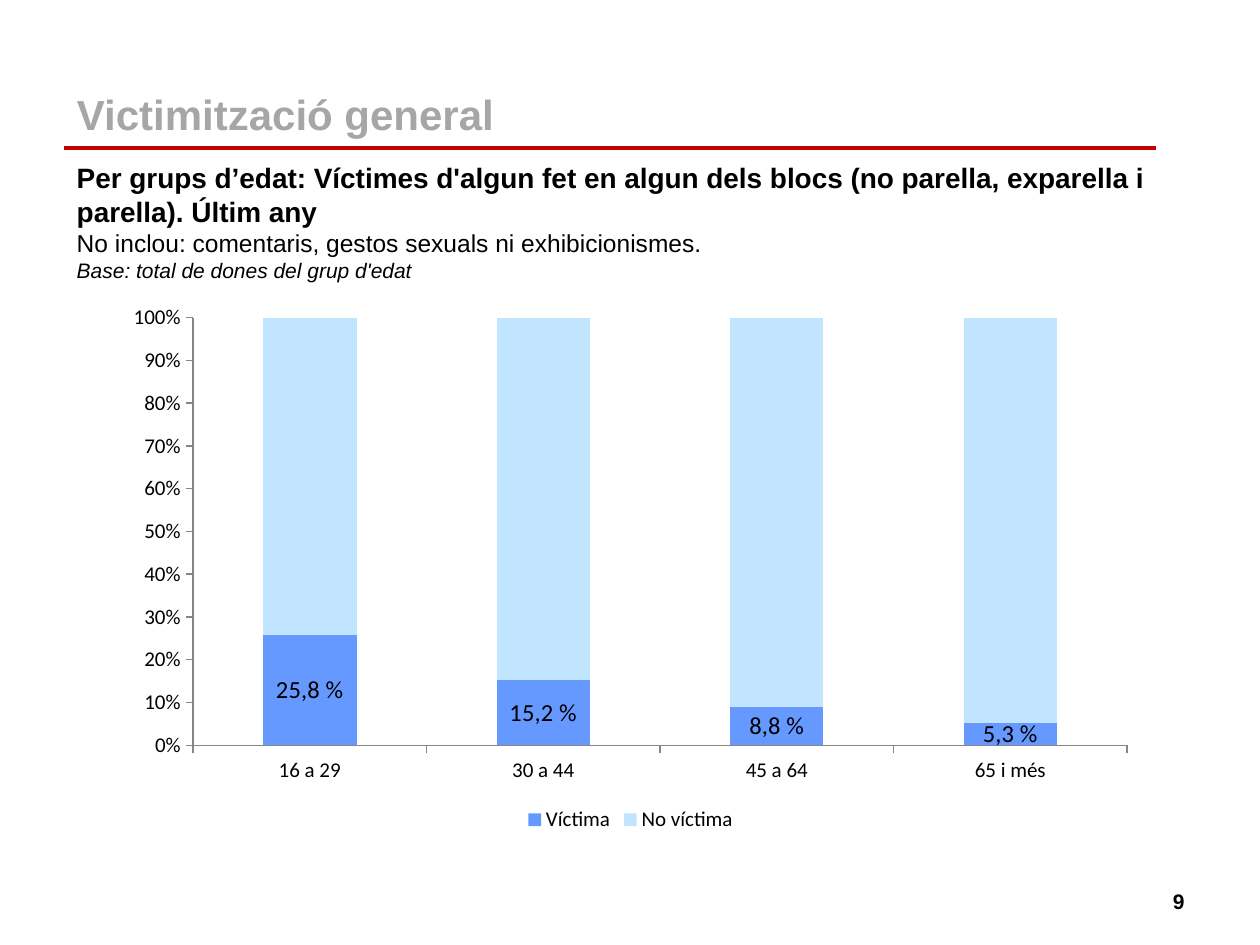
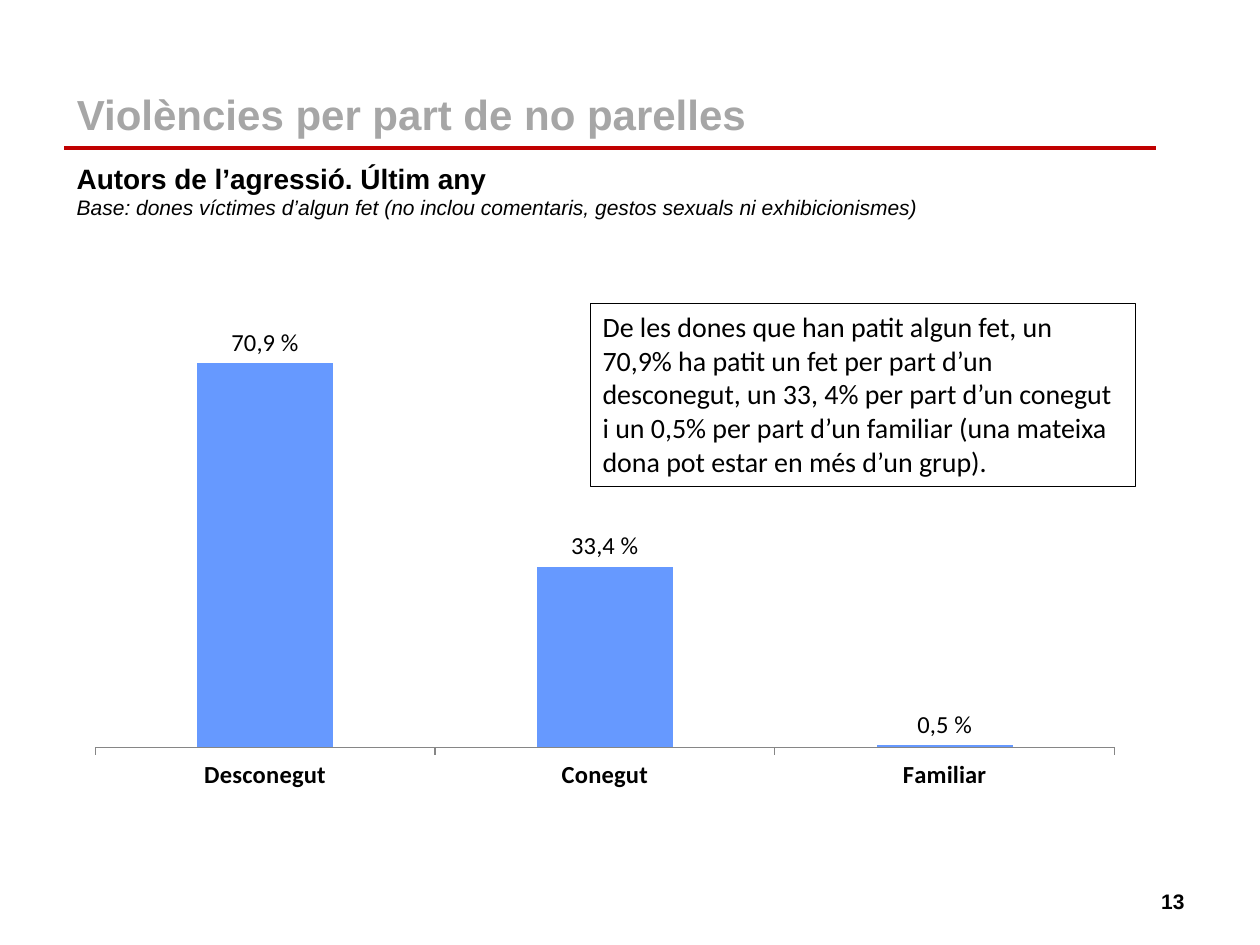
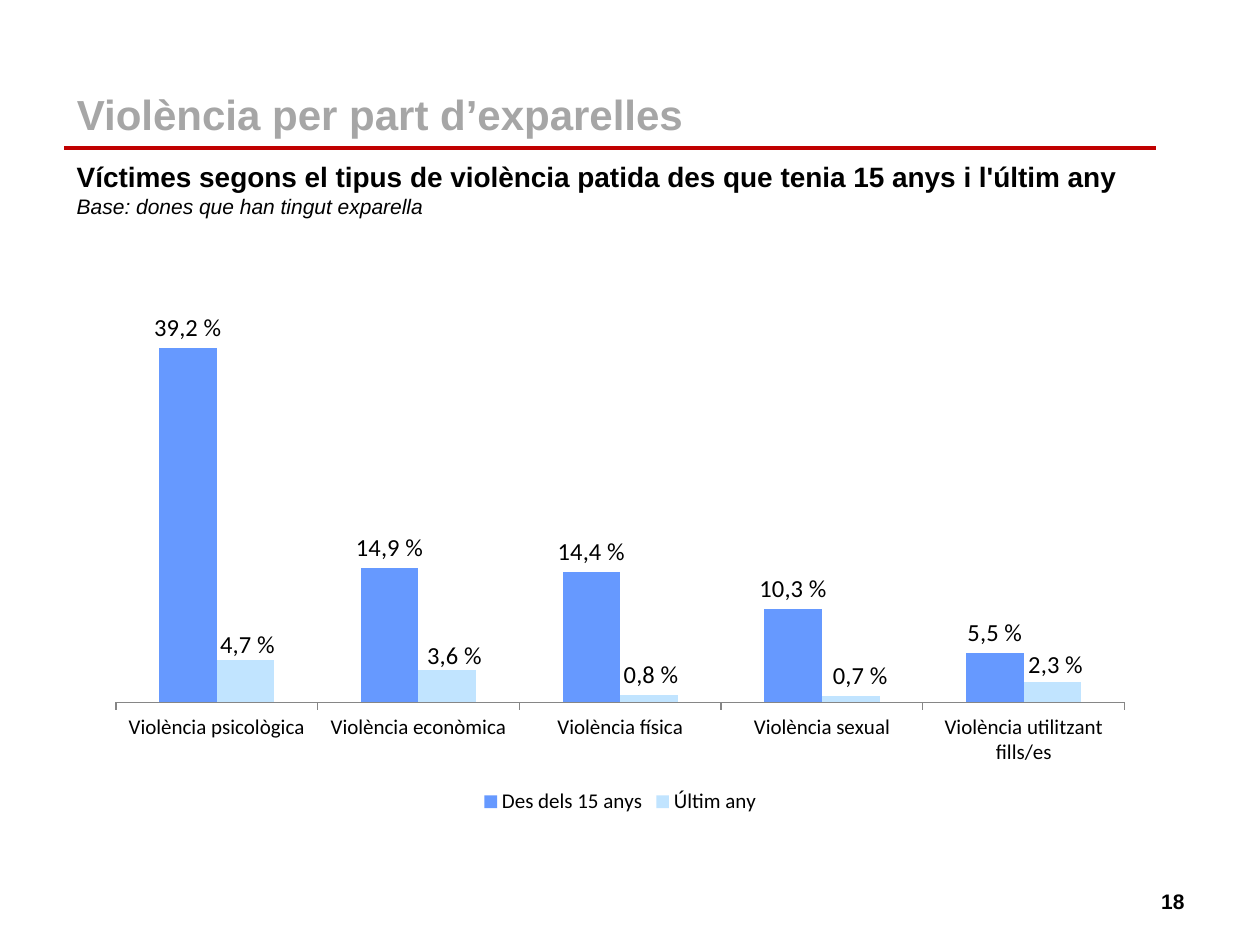
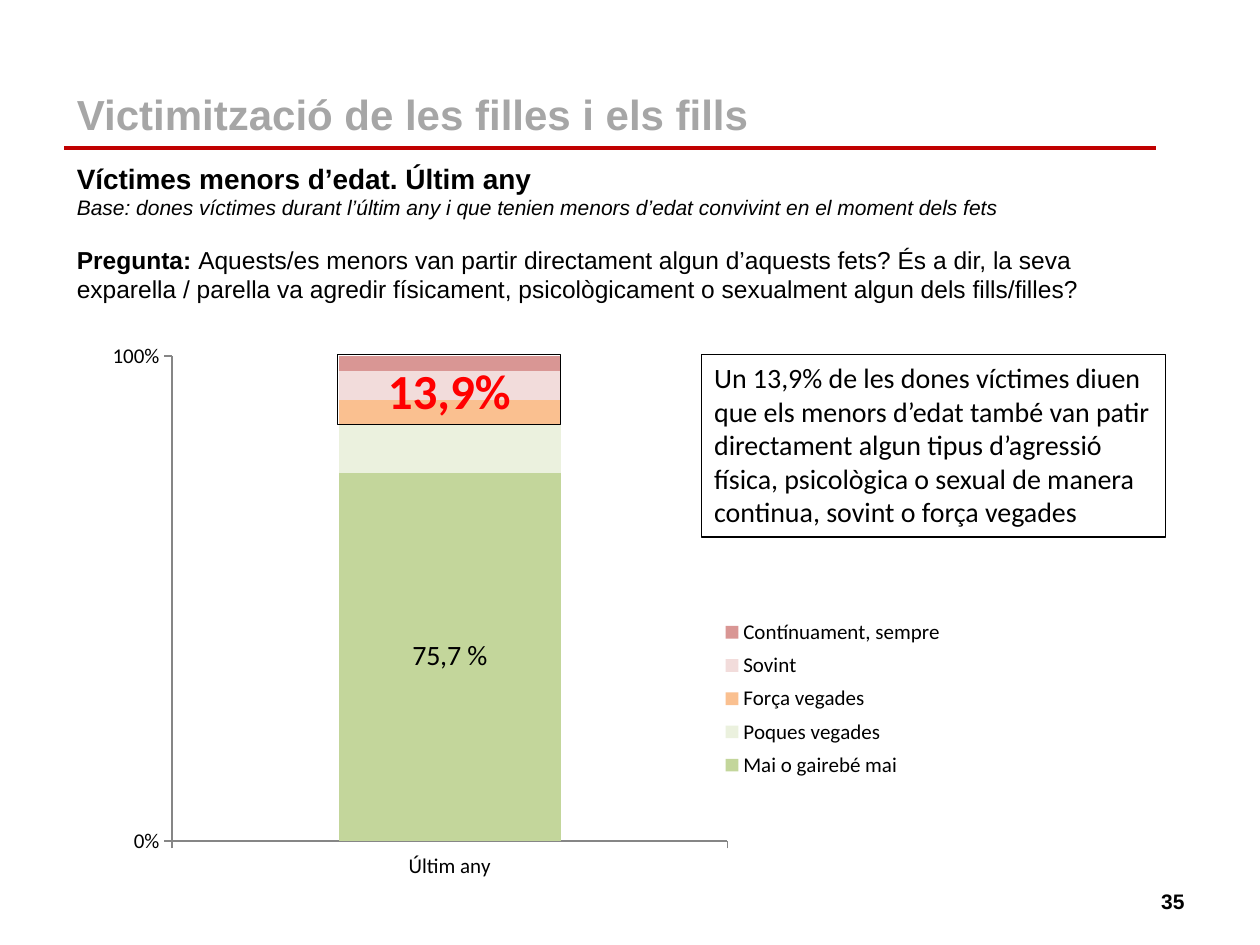
from lxml.etree import SubElement
from pptx import Presentation
from pptx.chart.data import CategoryChartData
from pptx.dml.color import RGBColor
from pptx.enum.chart import XL_CHART_TYPE, XL_LABEL_POSITION, XL_LEGEND_POSITION, XL_TICK_MARK
from pptx.enum.shapes import MSO_CONNECTOR, MSO_SHAPE
from pptx.enum.text import MSO_ANCHOR, MSO_AUTO_SIZE, PP_ALIGN
from pptx.oxml import parse_xml
from pptx.oxml.ns import nsdecls, qn
from pptx.util import Pt

BLACK, GREY, RED, AXIS = "000000", "A6A6A6", "C00000", "868686"
BLUE, PALE_BLUE, ALERT = "6699FF", "C1E4FF", "FF0000"
HEAD, BODY = "Arial", "Calibri"
LEFT = 36.8


def rgb(hex_color):
    return RGBColor.from_string(hex_color)


def points(box):
    return [Pt(v) for v in box]


def style(font, size, name=HEAD, color=BLACK, bold=False, italic=False):
    font.size, font.name = Pt(size), name
    font.bold, font.italic = bold, italic
    font.color.rgb = rgb(color)


def add_text(s, box):
    tf = s.shapes.add_textbox(*points(box)).text_frame
    tf.word_wrap = True
    return tf


def add_base(prs, title, number):
    s = prs.slides.add_slide(prs.slide_layouts[5])
    sp = s.shapes.title
    sp.left, sp.top, sp.width, sp.height = points((LEFT, 45.4, 657.4, 39.6))
    tf = sp.text_frame
    tf.text = title
    tf.auto_size = MSO_AUTO_SIZE.NONE
    tf.vertical_anchor = MSO_ANCHOR.MIDDLE
    tf.paragraphs[0].alignment = PP_ALIGN.LEFT
    style(tf.paragraphs[0].runs[0].font, 24, color=GREY, bold=True)

    rule = s.shapes.add_connector(MSO_CONNECTOR.STRAIGHT, *points((LEFT, 84.6, 660.5, 84.6)))
    rule.line.color.rgb = rgb(RED)
    rule.line.width = Pt(2.25)
    SubElement(rule._element.spPr, qn("a:effectLst"))

    tf = add_text(s, (516.2, 500.4, 167.8, 28.8))
    tf.text = number
    tf.vertical_anchor = MSO_ANCHOR.MIDDLE
    tf.paragraphs[0].alignment = PP_ALIGN.RIGHT
    style(tf.paragraphs[0].runs[0].font, 12, bold=True)
    return s


def add_intro(s, box, heading, base, note=None):
    tf = add_text(s, box)
    rows = [(heading, 16, True, False), (note, 14, False, False), (base, 12, False, True)]
    rows = [row for row in rows if row[0]]
    tf.text = "\n".join(row[0] for row in rows)
    for p, (_, size, bold, italic) in zip(tf.paragraphs, rows):
        style(p.runs[0].font, size, bold=bold, italic=italic)
    return tf


def add_question(tf, label, question):
    p = tf.add_paragraph()
    p.space_before = Pt(14)
    for text, bold in ((label, True), (question, False)):
        r = p.add_run()
        r.text = text
        style(r.font, 14, bold=bold)


def add_frame(s, box, text, size, color=BLACK, bold=False, align=PP_ALIGN.LEFT,
              anchor=MSO_ANCHOR.TOP):
    sp = s.shapes.add_shape(MSO_SHAPE.RECTANGLE, *points(box))
    sp.shadow.inherit = False
    sp.fill.background()
    sp.line.color.rgb = rgb(BLACK)
    sp.line.width = Pt(0.75)
    tf = sp.text_frame
    tf.text = text
    tf.word_wrap = True
    tf.vertical_anchor = anchor
    tf.paragraphs[0].alignment = align
    style(tf.paragraphs[0].runs[0].font, size, BODY, color, bold)


def set_layout(parent, index, percents, inner=False, edge=True):
    for old in parent.findall(qn("c:layout")):
        parent.remove(old)
    target = '<c:layoutTarget val="inner"/>' if inner else ""
    modes = "".join(f'<c:{k}Mode val="edge"/>' for k in "xy") if edge else ""
    sizes = "".join(f'<c:{k} val="{v / 100:.3f}"/>' for k, v in zip("xywh", percents))
    parent.insert(index, parse_xml(
        f"<c:layout {nsdecls('c')}><c:manualLayout>{target}{modes}{sizes}"
        "</c:manualLayout></c:layout>"))


def label_series(ser, values, size, bold, position):
    labels = ser.data_labels
    labels.show_value = True
    labels.number_format = "0.0"
    labels.number_format_is_linked = False
    labels.position = position
    style(labels.font, size, BODY, bold=bold)
    for i, value in enumerate(values):
        label = ser.points[i].data_label
        label.text_frame.text = f"{value:.1f} %".replace(".", ",")
        style(label.text_frame.paragraphs[0].runs[0].font, size, BODY)
        label.position = position


def shift_labels(ser, shifts):
    for dlbl, shift in zip(ser._element.findall(".//" + qn("c:dLbl")), shifts):
        set_layout(dlbl, 1, shift, edge=False)


def add_columns(s, box, cats, series, plot_box, stacked=False, labelled=1, label_size=14,
                cat_size=12, cat_bold=False, top=None, step=None):
    data = CategoryChartData(number_format="0.0")
    data.categories = cats
    for name, values, _ in series:
        data.add_series(name, values)
    kind = XL_CHART_TYPE.COLUMN_STACKED_100 if stacked else XL_CHART_TYPE.COLUMN_CLUSTERED
    chart = s.shapes.add_chart(kind, *points(box), data).chart
    chart.has_title = chart.has_legend = False
    style(chart.font, 12, BODY)

    plot = chart.plots[0]
    plot.gap_width = 150
    plot.overlap = 100 if stacked else 0
    plot.vary_by_categories = False
    place = XL_LABEL_POSITION.CENTER if stacked else XL_LABEL_POSITION.OUTSIDE_END
    for i, (ser, (_, values, color)) in enumerate(zip(plot.series, series)):
        ser.format.fill.solid()
        ser.format.fill.fore_color.rgb = rgb(color)
        if i < labelled:
            label_series(ser, values, label_size, not stacked, place)

    for axis in (chart.category_axis, chart.value_axis):
        axis.has_major_gridlines = False
        axis.major_tick_mark = XL_TICK_MARK.OUTSIDE
        axis.minor_tick_mark = XL_TICK_MARK.NONE
        axis.format.line.color.rgb = rgb(AXIS)
        axis.format.line.width = Pt(0.75)
    style(chart.category_axis.tick_labels.font, cat_size, BODY, bold=cat_bold)
    axis = chart.value_axis
    axis.visible = stacked
    axis.minimum_scale = 0
    axis.tick_labels.number_format = "0%" if stacked else "0.0"
    axis.tick_labels.number_format_is_linked = False
    style(axis.tick_labels.font, 12, BODY)
    if top:
        axis.maximum_scale = top
    if step:
        axis.major_unit = step
    set_layout(plot._element.getparent(), 0, plot_box, inner=True)
    return chart


def add_legend(chart, position, box=None):
    chart.has_legend = True
    chart.legend.position = position
    chart.legend.include_in_layout = False
    style(chart.legend.font, 12, BODY)
    if box:
        set_layout(chart.legend._element, 1, box)


def age_slide(prs):
    s = add_base(prs, "Victimització general", "9")
    add_intro(s, (LEFT, 88.3, 640.8, 62.6),
              "Per grups d’edat: Víctimes d'algun fet en algun dels blocs "
              "(no parella, exparella i parella). Últim any",
              "Base: total de dones del grup d'edat",
              "No inclou: comentaris, gestos sexuals ni exhibicionismes.")
    chart = add_columns(
        s, (64.8, 167.5, 591.1, 311), ["16 a 29", "30 a 44", "45 a 64", "65 i més"],
        [("Víctima", (25.8, 15.2, 8.8, 5.3), BLUE),
         ("No víctima", (74, 85, 91, 95), PALE_BLUE)],
        (7.7, 4.5, 90.3, 78.6), stacked=True)
    add_legend(chart, XL_LEGEND_POSITION.BOTTOM)


def author_slide(prs):
    s = add_base(prs, "Violències per part de no parelles", "13")
    add_intro(s, (LEFT, 88.6, 612, 39.6), "Autors de l’agressió. Últim any",
              "Base: dones víctimes d’algun fet (no inclou comentaris, "
              "gestos sexuals ni exhibicionismes)")
    add_columns(s, (42.3, 173.6, 606.2, 283.7), ["Desconegut", "Conegut", "Familiar"],
                [("Series 1", (70.9, 33.4, 0.5), BLUE)], (2, 2.1, 96.1, 87.3),
                cat_size=14, cat_bold=True, top=80)
    add_frame(s, (337.3, 173.5, 311.8, 104.4),
              "De les dones que han patit algun fet, un 70,9% ha patit un fet per part d’un "
              "desconegut, un 33, 4% per part d’un conegut i un 0,5% per part d’un familiar "
              "(una mateixa dona pot estar en més d’un grup).", 16)


def type_slide(prs):
    s = add_base(prs, "Violència per part d’exparelles", "18")
    add_intro(s, (LEFT, 87.8, 612, 41),
              "Víctimes segons el tipus de violència patida des que tenia 15 anys i l'últim any",
              "Base: dones que han tingut exparella")
    kinds = ("psicològica", "econòmica", "física", "sexual", "utilitzant fills/es")
    chart = add_columns(
        s, (54.2, 162.2, 600.5, 306), [f"Violència {kind}" for kind in kinds],
        [("Des dels 15 anys", (39.2, 14.9, 14.4, 10.3, 5.5), BLUE),
         ("Últim any", (4.7, 3.6, 0.8, 0.7, 2.3), PALE_BLUE)],
        (2, 2.1, 96, 76.1), labelled=2, top=45)
    shift_labels(chart.plots[0].series[1],
                 [(0.2, 0.9), (0.7, 1.1), (0.2, 0), (0.9, 0), (0.3, 0.7)])
    add_legend(chart, XL_LEGEND_POSITION.BOTTOM)


def children_slide(prs):
    s = add_base(prs, "Victimització de les filles i els fills", "35")
    tf = add_intro(s, (LEFT, 88.7, 635, 85), "Víctimes menors d’edat. Últim any",
                   "Base: dones víctimes durant l’últim any i que tenien menors d’edat "
                   "convivint en el moment dels fets")
    add_question(tf, "Pregunta: ",
                 "Aquests/es menors van partir directament algun d’aquests fets? És a dir, "
                 "la seva exparella / parella va agredir físicament, psicològicament o "
                 "sexualment algun dels fills/filles?")
    chart = add_columns(
        s, (53.8, 191.7, 510.5, 316.8), ["Últim any"],
        [("Mai o gairebé mai", (75.7,), "C3D69B"),
         ("Poques vegades", (10,), "EBF1DE"),
         ("Força vegades", (5,), "FAC090"),
         ("Sovint", (6,), "F2DCDB"),
         ("Contínuament, sempre", (3,), "D99694")],
        (8.7, 3.7, 62.2, 87.5), stacked=True, label_size=16, step=1)
    add_legend(chart, XL_LEGEND_POSITION.RIGHT, (69.2, 49.8, 27, 31.5))
    add_frame(s, (193, 202.7, 127.4, 39.8), "13,9%", 28, ALERT, True,
              PP_ALIGN.CENTER, MSO_ANCHOR.MIDDLE)
    add_frame(s, (401, 202.5, 265, 104.4),
              "Un 13,9% de les dones víctimes diuen que els menors d’edat també van patir "
              "directament algun tipus d’agressió física, psicològica o sexual de manera "
              "continua, sovint o força vegades", 16)


def main():
    prs = Presentation()
    prs.slide_width, prs.slide_height = Pt(720), Pt(540)
    for build in (age_slide, author_slide, type_slide, children_slide):
        build(prs)
    prs.save("out.pptx")


if __name__ == "__main__":
    main()
